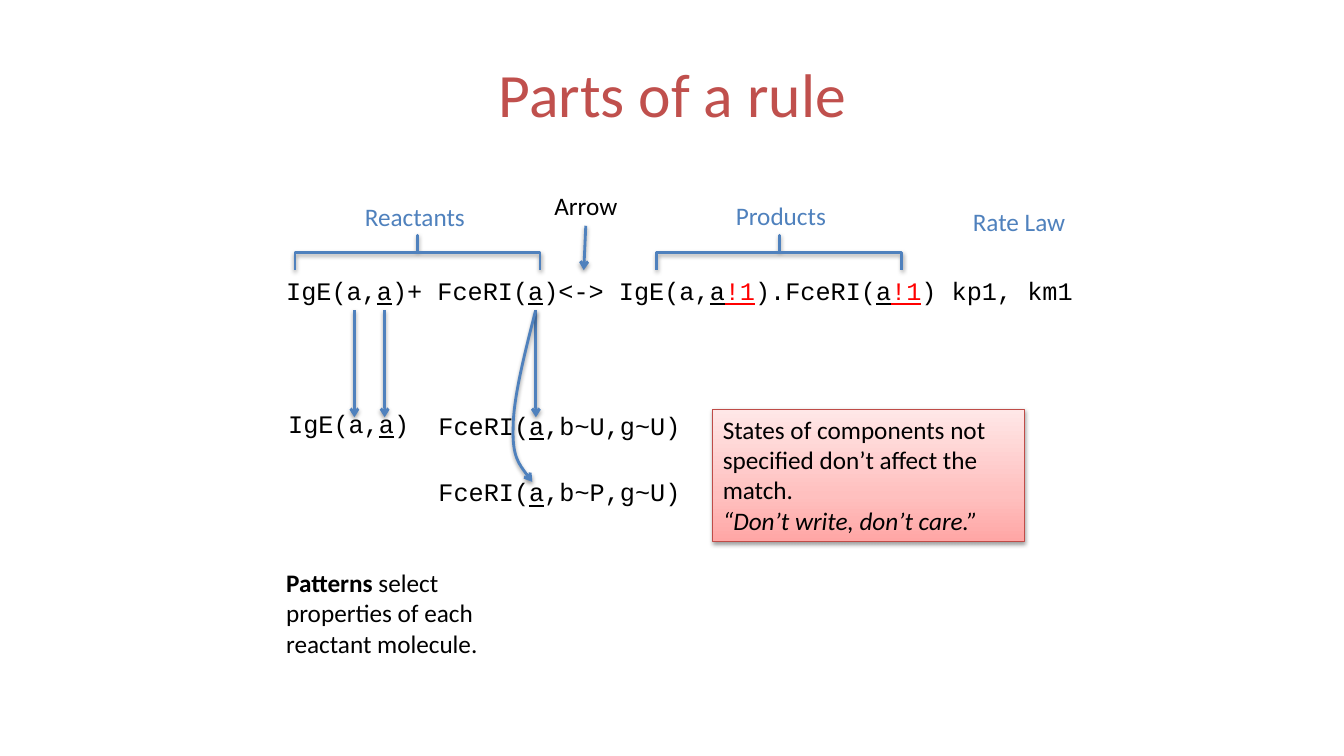
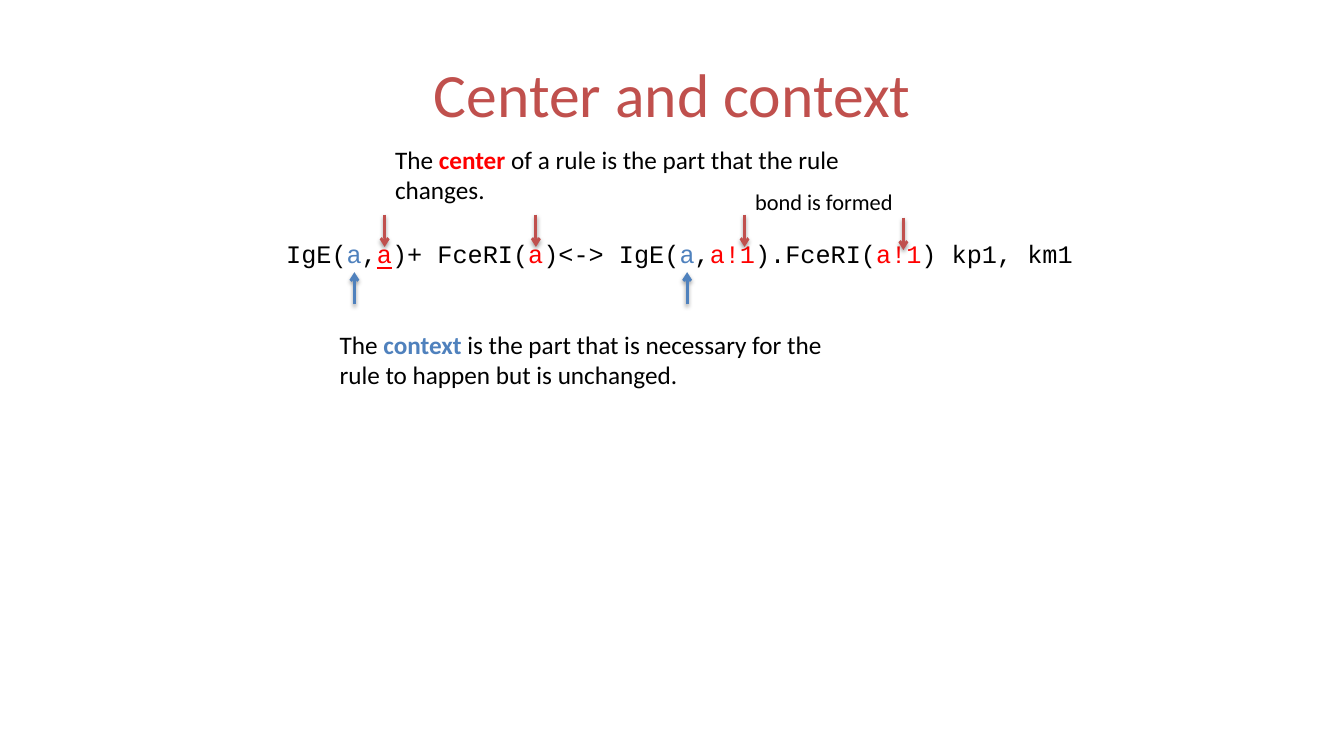
"""Build two slides on the parts, center and context of a reaction rule."""
from dataclasses import dataclass, field

from lxml import etree
from pptx import Presentation
from pptx.dml.color import RGBColor
from pptx.enum.shapes import MSO_CONNECTOR, MSO_SHAPE
from pptx.enum.text import MSO_ANCHOR, MSO_AUTO_SIZE, PP_ALIGN
from pptx.oxml.ns import qn
from pptx.util import Inches, Pt

STRAIGHT = MSO_CONNECTOR.STRAIGHT
BRACE, RECT = MSO_SHAPE.LEFT_BRACE, MSO_SHAPE.RECTANGLE
TOP, MIDDLE = MSO_ANCHOR.TOP, MSO_ANCHOR.MIDDLE
LEFT, CENTER = PP_ALIGN.LEFT, PP_ALIGN.CENTER
GROW = MSO_AUTO_SIZE.SHAPE_TO_FIT_TEXT


@dataclass(frozen=True)
class Theme:
    sans: str = "Calibri"
    mono: str = "Courier New"
    head: int = 44
    body: int = 18
    small: int = 16
    stroke: float = 2
    edge: float = 0.75
    ink: str = "000000"
    blue: str = "4F81BD"
    brick: str = "C0504D"
    red: str = "FF0000"
    rim: str = "BF4C48"
    fade: tuple = ((0, "FFA6A5"), (35, "FFC0BF"), (100, "FFE7E7"))
    marks: dict = field(default_factory=lambda: {
        "l": "4F81BD", "t": "C0504D", "r": "FF0000"})


THEME = Theme()
CELL = 0.1
RULE_LEFT = 27.4
INSET = 1
PITCH = 1.5


def grid(*cells):
    return [Inches(cell * CELL) for cell in cells]


def slot(index):
    return RULE_LEFT + INSET + PITCH * (index + 0.5)


def node(parent, tag, **attrs):
    child = etree.SubElement(parent, qn(tag))
    for name, value in attrs.items():
        child.set(name, str(value))
    return child


def stroke(shape, hue, width=THEME.stroke, arrow=False):
    shape.line.color.rgb = RGBColor.from_string(hue)
    shape.line.width = Pt(width)
    props = shape.element.spPr
    if arrow:
        node(props.find(qn("a:ln")), "a:tailEnd", type="arrow")
    shade = node(node(props, "a:effectLst"), "a:outerShdw", blurRad=Pt(3.1),
                 dist=Pt(1.6), dir=90 * 60000, rotWithShape=0)
    node(node(shade, "a:srgbClr", val=THEME.ink), "a:alpha", val=38000)


def write(frame, paras, font=THEME.sans, size=THEME.body, align=LEFT):
    for index, runs in enumerate(paras):
        para = frame.paragraphs[0] if index == 0 else frame.add_paragraph()
        para.alignment = align
        for words, marks in runs:
            run = para.add_run()
            run.text = words
            face = run.font
            face.name, face.size = font, Pt(size)
            face.bold, face.italic = "b" in marks, "i" in marks
            face.underline = "u" in marks
            hue = next((THEME.marks[m] for m in marks if m in THEME.marks),
                       THEME.ink)
            face.color.rgb = RGBColor.from_string(hue)


def text(slide, box, runs, wrap=False, **style):
    frame = slide.shapes.add_textbox(*grid(*box)).text_frame
    frame.word_wrap, frame.auto_size = wrap, GROW
    write(frame, [runs], **style)


def code(slide, box, runs):
    text(slide, box, runs, font=THEME.mono)


def rule(slide, top, runs):
    code(slide, (RULE_LEFT, top, 81.9, 4), runs)


def title(slide, words):
    frame = slide.shapes.add_textbox(*grid(6.7, 3, 120, 12.5)).text_frame
    frame.word_wrap, frame.vertical_anchor = True, MIDDLE
    write(frame, [[(words, "t")]], size=THEME.head, align=CENTER)


def arrow(slide, start, end, hue=THEME.blue):
    line = slide.shapes.add_connector(STRAIGHT, *grid(*start, *end))
    stroke(line, hue, arrow=True)


def brace(slide, left):
    shape = slide.shapes.add_shape(BRACE, *grid(left, 12.9, 3.4, 24.3))
    shape.rotation = 90
    shape.adjustments[0], shape.adjustments[1] = 0, 0.5
    shape.fill.background()
    stroke(shape, THEME.blue)


def curve(slide, start, points):
    pen = slide.shapes.build_freeform(*grid(*start))
    pen.add_line_segments([grid(*spot) for spot in points], close=False)
    shape = pen.convert_to_shape()
    track = shape.element.find(".//" + qn("a:path"))
    lines = track.findall(qn("a:lnTo"))
    for first in range(0, len(lines), 3):
        bend = node(track, "a:cubicBezTo")
        for line in lines[first:first + 3]:
            bend.append(line[0])
            track.remove(line)
    shape.fill.background()
    stroke(shape, THEME.blue, arrow=True)


def note(slide, box, paras):
    shape = slide.shapes.add_shape(RECT, *grid(*box))
    shape.fill.gradient()
    shape.fill.gradient_angle = 90
    stops = shape.element.spPr.find(".//" + qn("a:gsLst"))
    for old in list(stops):
        stops.remove(old)
    for share, hue in THEME.fade:
        stop = node(stops, "a:gs", pos=share * 1000)
        node(stop, "a:srgbClr", val=hue)
    stroke(shape, THEME.rim, THEME.edge)
    frame = shape.text_frame
    frame.word_wrap, frame.vertical_anchor = True, TOP
    write(frame, paras)


def parts(slide):
    title(slide, "Parts of a rule")
    rule(slide, 26.8, [
        ("IgE(a,", ""), ("a", "u"), (")+ FceRI(", ""), ("a", "u"),
        (")<-> IgE(a,", ""), ("a", "u"), ("!1", "ur"), (").FceRI(", ""),
        ("a", "u"), ("!1", "ur"), (") kp1, km1", "")])
    for words, mark, left, top, width in (
            ("Reactants", "l", 35.2, 19.5, 12.1),
            ("Products", "l", 72, 19.4, 11.1),
            ("Arrow", "", 54, 18.4, 8.4),
            ("Rate Law", "l", 95.5, 20, 11.3)):
        text(slide, (left, top, width, 4), [(words, mark)])
    for left in (39.7, 75.6):
        brace(slide, left)
    arrow(slide, (58.1, 22.4), (57.9, 26.8))
    text(slide, (RULE_LEFT, 55.8, 25.3, 10.1), [
        ("Patterns ", "b"),
        ("select properties of each reactant molecule.", "")], wrap=True)
    for left, top, width, name, rest in (
            (27.6, 40, 14.1, "IgE(a,", ")"),
            (42.5, 40.2, 26.3, "FceRI(", ",b~U,g~U)"),
            (42.5, 46.8, 26.3, "FceRI(", ",b~P,g~U)")):
        code(slide, (left, top, width, 4),
             [(name, ""), ("a", "u"), (rest, "")])
    for index in (4, 6, 16):
        arrow(slide, (slot(index), 30.8), (slot(index), 41.4))
    note(slide, (70.7, 40.6, 30.9, 13.1), [
        [("States of components not specified don’t affect the match.", "")],
        [("“Don’t write, don’t care.”", "i")]])
    curve(slide, (53.1, 30.9), [
        (52, 35.2), (50.9, 39.6), (50.9, 42.4),
        (50.8, 45.3), (51.8, 46.5), (52.8, 47.8)])


def context(slide):
    title(slide, "Center and context")
    text(slide, (38.2, 13.8, 51.4, 7.1), [
        ("The ", ""), ("center", "br"),
        (" of a rule is the part that the rule changes.", "")], wrap=True)
    rule(slide, 23.2, [
        ("IgE(", ""), ("a", "l"), (",", ""), ("a", "ur"), (")+ FceRI(", ""),
        ("a", "r"), (")<-> IgE(", ""), ("a", "l"), (",", ""), ("a!1", "r"),
        (").FceRI(", ""), ("a!1", "r"), (") kp1, km1", "")])
    text(slide, (32.7, 32.2, 50, 7.1), [
        ("The ", ""), ("context ", "bl"),
        ("is the part that is necessary for the rule to happen "
         "but is unchanged.", "")], wrap=True)
    for index in (4, 26):
        arrow(slide, (slot(index), 30.2), (slot(index), 27))
    for index, top in ((6, 21.3), (16, 21.3), (29.8, 21.3), (40.3, 21.6)):
        arrow(slide, (slot(index), top), (slot(index), top + 3.2),
              THEME.brick)
    text(slide, (73.9, 18.2, 15.9, 3.7), [("bond is formed", "")],
         size=THEME.small)


def main():
    deck = Presentation()
    deck.slide_width, deck.slide_height = Inches(13.33), Inches(7.5)
    for build in (parts, context):
        build(deck.slides.add_slide(deck.slide_layouts[6]))
    deck.save("out.pptx")


if __name__ == "__main__":
    main()
